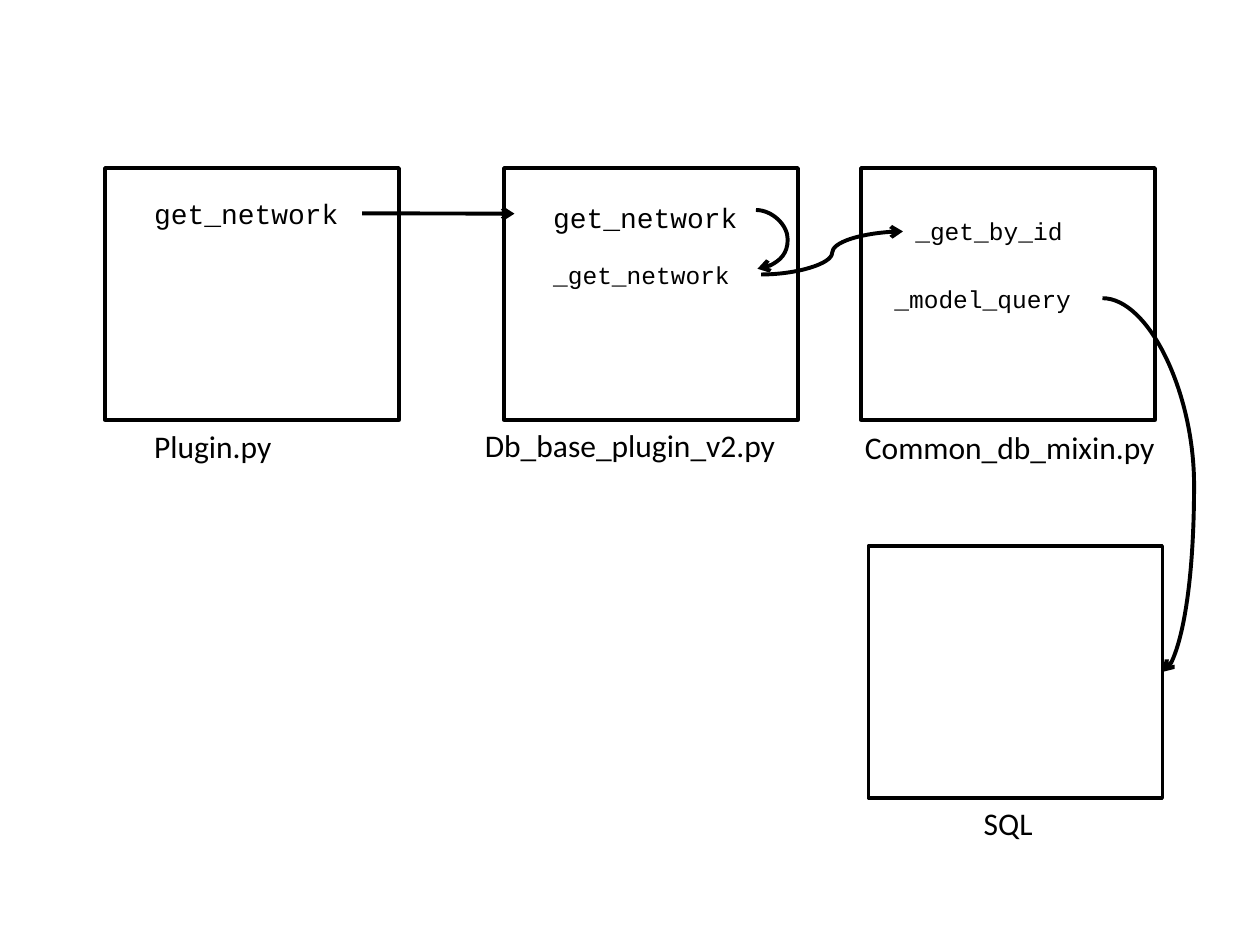
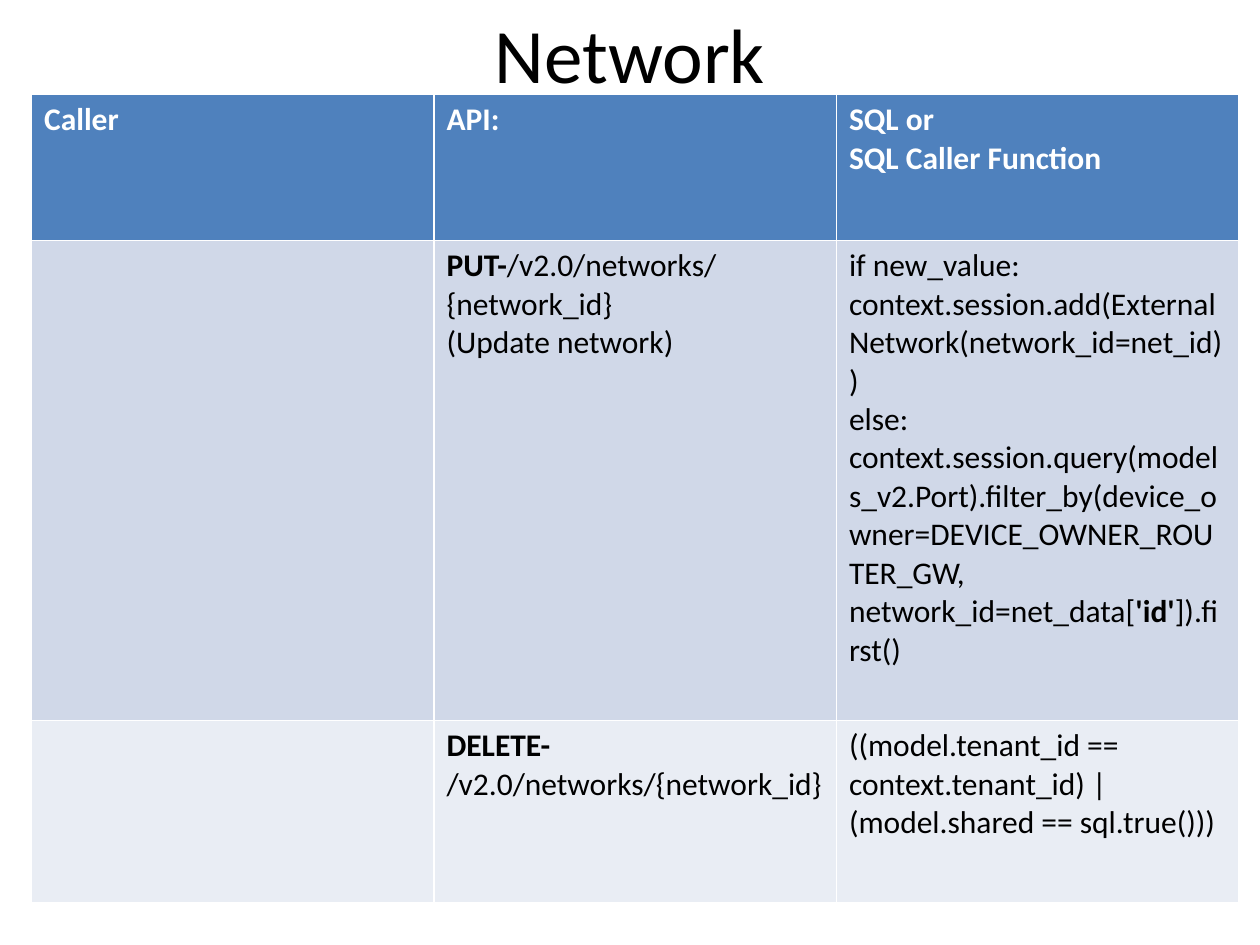
"""Build two slides on network calls: a call diagram and an API table."""
from dataclasses import dataclass

from lxml import etree
from pptx import Presentation
from pptx.dml.color import RGBColor
from pptx.enum.shapes import MSO_CONNECTOR, MSO_SHAPE
from pptx.enum.text import MSO_ANCHOR, MSO_AUTO_SIZE, PP_ALIGN
from pptx.oxml.ns import qn
from pptx.util import Inches, Pt

RECTANGLE = MSO_SHAPE.RECTANGLE
STRAIGHT, CURVE = MSO_CONNECTOR.STRAIGHT, MSO_CONNECTOR.CURVE
MIDDLE, TOP = MSO_ANCHOR.MIDDLE, MSO_ANCHOR.TOP
LEFT, CENTER = PP_ALIGN.LEFT, PP_ALIGN.CENTER
GROW = MSO_AUTO_SIZE.SHAPE_TO_FIT_TEXT
TITLE_ONLY, BLANK = 5, 6
RIGHT_SIDE = 3
GRID_COLUMNS, GRID_ROWS = 120, 90


@dataclass(frozen=True)
class Theme:
    ink: RGBColor = RGBColor(0, 0, 0)
    paper: RGBColor = RGBColor(255, 255, 255)
    header: RGBColor = RGBColor.from_string("4F81BD")
    bands: tuple = (RGBColor.from_string("D0D8E8"), RGBColor.from_string("E9EDF4"))
    body_font: str = "Calibri"
    code_font: str = "Courier New"
    title_size: float = 44
    body_size: float = 18
    call_size: float = 16
    helper_size: float = 14
    frame_line: float = 2
    arrow_line: float = 2.25


class Page:
    def __init__(self, deck, theme, layout):
        self.theme = theme
        self.slide = deck.slides.add_slide(deck.slide_layouts[layout])
        self.column = deck.slide_width / GRID_COLUMNS
        self.row = deck.slide_height / GRID_ROWS

    def place(self, *numbers):
        units = (self.column, self.row)
        return [round(number * units[index % 2]) for index, number in enumerate(numbers)]

    def fill_text(self, frame, paragraphs, align=LEFT, **changes):
        style = {"name": self.theme.body_font, "size": self.theme.body_size}
        style.update(changes)
        color = style.pop("color", self.theme.ink)
        style["size"] = Pt(style["size"])
        for index, spans in enumerate(paragraphs):
            para = frame.add_paragraph() if index else frame.paragraphs[0]
            para.alignment = align
            for text, bold in spans:
                span = para.add_run()
                span.text = text
                for name, value in {**style, "bold": bold}.items():
                    setattr(span.font, name, value)
                span.font.color.rgb = color

    def set_frame(self, frame, anchor):
        for name, value in {"word_wrap": True, "auto_size": GROW, "vertical_anchor": anchor}.items():
            setattr(frame, name, value)

    def title(self, text, *area):
        box = self.slide.shapes.title
        for name, value in zip(("left", "top", "width", "height"), self.place(*area)):
            setattr(box, name, value)
        box.text_frame.vertical_anchor = MIDDLE
        self.fill_text(box.text_frame, [[(text, False)]], CENTER, size=self.theme.title_size)

    def frame(self, left, top):
        box = self.slide.shapes.add_shape(RECTANGLE, *self.place(left, top, 28, 24))
        box.shadow.inherit = False
        box.fill.background()
        box.line.color.rgb = self.theme.ink
        box.line.width = Pt(self.theme.frame_line)

    def function(self, text, left, top, width=21, size=None):
        size = size or self.theme.helper_size
        height = 4.44 if size == self.theme.call_size else 4.04
        box = self.slide.shapes.add_shape(RECTANGLE, *self.place(left, top, width, height))
        box.shadow.inherit = False
        box.fill.solid()
        box.fill.fore_color.rgb = self.theme.paper
        box.line.fill.background()
        self.set_frame(box.text_frame, MIDDLE)
        self.fill_text(box.text_frame, [[(text, False)]], name=self.theme.code_font, size=size)
        return box

    def caption(self, text, left, top, width):
        box = self.slide.shapes.add_textbox(*self.place(left, top, width, 4.85))
        self.set_frame(box.text_frame, TOP)
        self.fill_text(box.text_frame, [[(text, False)]])

    def arrow(self, start, end, bend=None, source=None):
        kind = STRAIGHT if bend is None else CURVE
        link = self.slide.shapes.add_connector(kind, *self.place(*start, *end))
        if source is not None:
            link.begin_connect(source, RIGHT_SIDE)
        link.line.color.rgb = self.theme.ink
        link.line.width = Pt(self.theme.arrow_line)
        properties = link._element.spPr
        etree.SubElement(properties.find(qn("a:ln")), qn("a:tailEnd"), type="arrow")
        etree.SubElement(properties, qn("a:effectLst"))
        if bend is not None:
            guides = properties.find(".//" + qn("a:avLst"))
            etree.SubElement(guides, qn("a:gd"), name="adj1", fmla=f"val {round(bend * 100000)}")

    def table(self, left, top, width, heights, rows):
        area = self.place(left, top, width, sum(heights))
        grid = self.slide.shapes.add_table(len(rows), len(rows[0]), *area).table
        for row_index, (height, cells) in enumerate(zip(heights, rows)):
            grid.rows[row_index].height = round(height * self.row)
            is_header = row_index == 0
            fill = self.theme.header if is_header else self.theme.bands[(row_index - 1) % 2]
            color = self.theme.paper if is_header else self.theme.ink
            for column_index, paragraphs in enumerate(cells):
                cell = grid.cell(row_index, column_index)
                cell.fill.solid()
                cell.fill.fore_color.rgb = fill
                self.fill_text(cell.text_frame, paragraphs, color=color)


def lines(*texts, bold=False):
    return [[(text, bold)] for text in texts]


def build_call_diagram(deck, theme):
    page = Page(deck, theme, BLANK)
    for left, top in ((10, 16), (48, 16), (82, 16), (82.7, 52)):
        page.frame(left, top)
    plugin_call = page.function("get_network", 13.5, 18.1, size=theme.call_size)
    page.function("get_network", 51.5, 18.5, size=theme.call_size)
    page.function("_get_network", 51.5, 24.1)
    page.function("_get_by_id", 86, 20, width=17)
    page.function("_model_query", 84, 26.4)
    for text, left, top, width in (
        ("Plugin.py", 13.5, 40.1, 21),
        ("Db_base_plugin_v2.py", 45, 40, 31),
        ("Common_db_mixin.py", 81.2, 40.2, 30.7),
        ("SQL", 92.5, 76, 10.5),
    ):
        page.caption(text, left, top, width)
    page.arrow((34.5, 20.35), (49, 20.35), source=plugin_call)
    page.arrow((72, 20), (72.15, 25.6), bend=20)
    page.arrow((72.5, 26.15), (86, 22.05), bend=0.5)
    page.arrow((105, 28.4), (110.7, 64), bend=1.53)


def build_api_table(deck, theme):
    page = Page(deck, theme, TITLE_ONLY)
    page.title("Network", 6, 0, 108, 10)
    header = [
        lines("Caller", bold=True),
        lines("API:", bold=True),
        lines("SQL or", "SQL Caller Function", bold=True),
    ]
    update = [
        [],
        [[("PUT-", True), ("/v2.0/networks/{network_id}", False)], [("(Update network)", False)]],
        lines("if new_value:", "context.session.add(ExternalNetwork(network_id=net_id))", "else:")
        + [[
            ("context.session.query(models_v2.Port).filter_by("
             "device_owner=DEVICE_OWNER_ROUTER_GW, network_id=net_data[", False),
            ("'id'", True),
            ("]).first()", False),
        ]],
    ]
    delete = [
        [],
        lines("DELETE-", bold=True) + lines("/v2.0/networks/{network_id}"),
        lines("((model.tenant_id == context.tenant_id) | (model.shared == sql.true()))"),
    ]
    page.table(3, 9, 115, (13.9, 45.7, 17.4), [header, update, delete])


def main():
    deck = Presentation()
    deck.slide_width, deck.slide_height = Inches(10), Inches(7.5)
    theme = Theme()
    build_call_diagram(deck, theme)
    build_api_table(deck, theme)
    deck.save("out.pptx")


if __name__ == "__main__":
    main()
